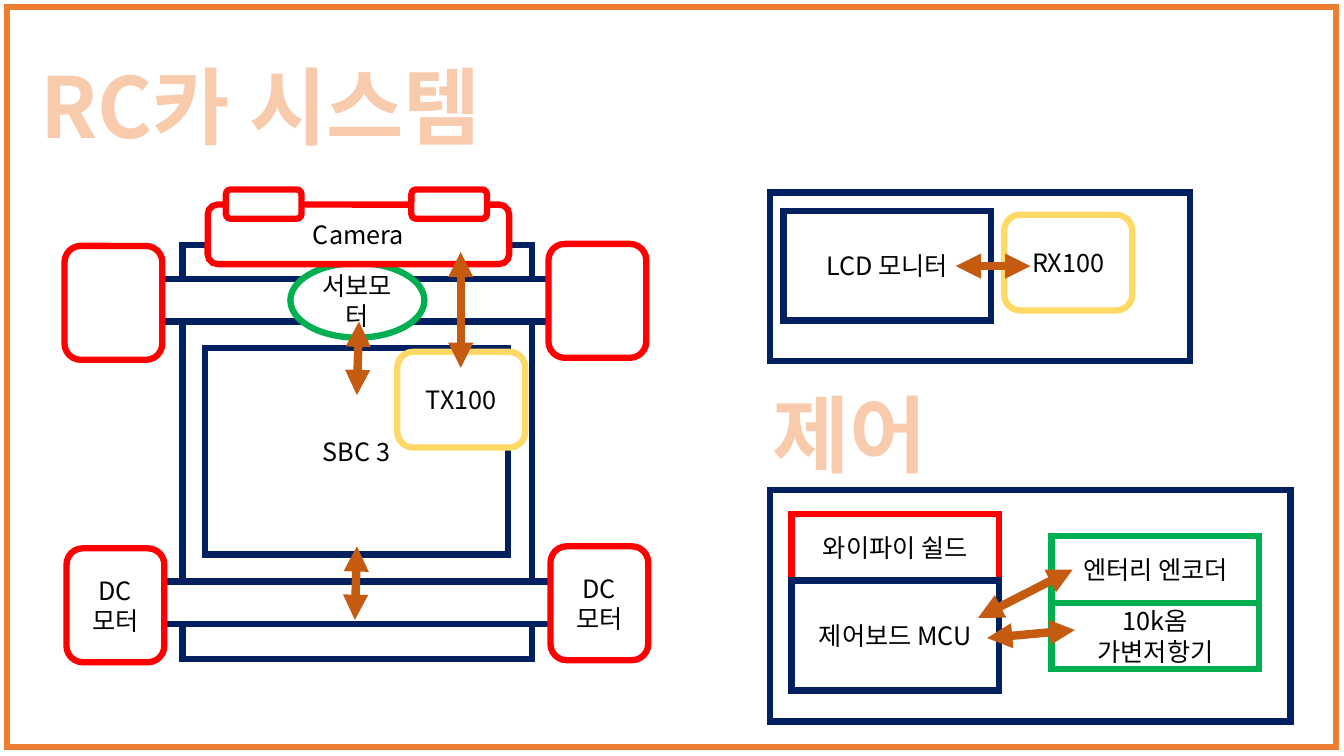
from dataclasses import dataclass

from lxml.etree import SubElement
from pptx import Presentation
from pptx.dml.color import RGBColor
from pptx.enum.shapes import MSO_CONNECTOR, MSO_SHAPE
from pptx.enum.text import MSO_ANCHOR, MSO_AUTO_SIZE, PP_ALIGN
from pptx.oxml import parse_xml
from pptx.oxml.ns import nsdecls, qn
from pptx.util import Inches, Pt

SLIDE_WIDTH, SLIDE_HEIGHT = Inches(13.33), Inches(7.5)
COLUMNS, ROWS = 1333, 750
FONT = "Noto Sans CJK KR"
WHITE, BLACK = "FFFFFF", "000000"
ORANGE, PEACH, RUST = "ED7D31", "F8CBAD", "C55A11"
NAVY, RED, GREEN, YELLOW = "002060", "FF0000", "00B050", "FFD966"
RECT, ROUND, OVAL = MSO_SHAPE.RECTANGLE, MSO_SHAPE.ROUNDED_RECTANGLE, MSO_SHAPE.OVAL


@dataclass(frozen=True)
class Block:
    """A device or part; lengths in grid columns and rows."""
    col: int
    row: int
    width: int
    height: int
    color: str
    text: str = ""
    kind: MSO_SHAPE = RECT
    fill: str | None = WHITE
    weight: float = 4.5


@dataclass(frozen=True)
class Link:
    """A two-way arrow between grid points."""
    col: int
    row: int
    end_col: int
    end_row: int


@dataclass(frozen=True)
class Heading:
    text: str
    col: int
    row: int
    width: int
    height: int = 111


def x(col):
    return round(SLIDE_WIDTH * col / COLUMNS)


def y(row):
    return round(SLIDE_HEIGHT * row / ROWS)


def rgb(color: str) -> RGBColor:
    return RGBColor.from_string(color)


def write(frame, text: str, *, size=18, color=BLACK, bold=False,
          align=PP_ALIGN.CENTER, anchor=MSO_ANCHOR.MIDDLE, wrap=True, outline=None) -> None:
    frame.auto_size = MSO_AUTO_SIZE.NONE
    frame.word_wrap = wrap
    frame.vertical_anchor = anchor
    paragraph = frame.paragraphs[0]
    paragraph.text = text
    paragraph.alignment = align
    for run in paragraph.runs:
        font = run.font
        font.name, font.size, font.bold = FONT, Pt(size), bold
        font.color.rgb = rgb(color)
        properties = run._r.get_or_add_rPr()
        SubElement(properties, qn("a:ea")).set("typeface", FONT)
        if outline:
            properties.insert(0, parse_xml(
                f'<a:ln {nsdecls("a")} w="{Pt(1.75)}"><a:solidFill>'
                f'<a:srgbClr val="{outline}"/></a:solidFill></a:ln>'))


def draw_block(shapes, block: Block) -> None:
    shape = shapes.add_shape(block.kind, x(block.col), y(block.row),
                             x(block.width), y(block.height))
    shape.shadow.inherit = False
    if block.fill:
        shape.fill.solid()
        shape.fill.fore_color.rgb = rgb(block.fill)
    else:
        shape.fill.background()
    shape.line.color.rgb = rgb(block.color)
    shape.line.width = Pt(block.weight)
    SubElement(shape.line._get_or_add_ln(), qn("a:miter")).set("lim", "800000")
    if block.text:
        write(shape.text_frame, block.text)


def draw_link(shapes, link: Link) -> None:
    arrow = shapes.add_connector(MSO_CONNECTOR.STRAIGHT, x(link.col), y(link.row),
                                 x(link.end_col), y(link.end_row))
    arrow.line.color.rgb = rgb(RUST)
    arrow.line.width = Pt(6)
    for end in ("a:headEnd", "a:tailEnd"):
        SubElement(arrow.line._get_or_add_ln(), qn(end)).set("type", "triangle")
    SubElement(arrow._element.spPr, qn("a:effectLst"))


def draw_parts(shapes, parts: list) -> None:
    for part in parts:
        if isinstance(part, Link):
            draw_link(shapes, part)
        else:
            draw_block(shapes, part)


def draw_heading(box, heading: Heading) -> None:
    box.left, box.top = x(heading.col), y(heading.row)
    box.width, box.height = x(heading.width), y(heading.height)
    write(box.text_frame, heading.text, size=60, color=PEACH, bold=True, wrap=False,
          align=PP_ALIGN.LEFT, anchor=MSO_ANCHOR.TOP, outline=ORANGE)


def axle(col: int, row: int, text: str = "") -> list[Block]:
    """An axle bar with a wheel at each end."""
    wheels = [Block(col + step, row + rise, 97, 113, RED, text, ROUND)
              for step, rise in ((-2, -33), (478, -35))]
    return [Block(col, row, 517, 42, NAVY), *wheels]


def radio(col: int, row: int, text: str) -> Block:
    return Block(col, row, 127, 95, YELLOW, text, ROUND)


def module(col: int, row: int, color: str, text: str, height: int = 66) -> Block:
    return Block(col, row, 206, height, color, text)


FRAME = Block(7, 7, 1318, 734, ORANGE, fill=None, weight=4.75)
CAR = [
    Block(181, 243, 347, 411, NAVY),
    *axle(66, 277),
    *axle(68, 577, "DC\n모터"),
    Block(288, 261, 133, 74, GREEN, "서보모터", OVAL),
    Block(206, 203, 299, 59, RED, "Camera", ROUND),
    *(Block(col, 188, 75, 29, RED, kind=ROUND) for col in (224, 408)),
    Block(203, 345, 301, 205, NAVY, "SBC 3"),
    Link(356, 319, 354, 392),
    Link(354, 542, 352, 615),
]
TRANSMITTER = [radio(394, 349, "TX100"), Link(457, 250, 457, 365)]
MONITOR = [
    Block(764, 191, 416, 167, NAVY),
    radio(996, 213, "RX100"),
    module(777, 209, NAVY, "LCD 모니터", 109),
]
MONITOR_LINK = Link(1022, 264, 948, 264)
CONTROL = [
    Block(764, 486, 516, 230, NAVY),
    module(785, 510, RED, "와이파이 쉴드"),
    module(785, 576, NAVY, "제어보드 MCU", 109),
    module(1043, 532, GREEN, "엔터리 엔코더"),
    module(1043, 598, GREEN, "10k옴\n가변저항기"),
    Link(1064, 565, 970, 613),
    Link(1066, 625, 979, 633),
]
CAR_HEADING = Heading("RC카 시스템", 30, 49, 553)
CONTROL_HEADING = Heading("제어", 756, 375, 193)


def main() -> None:
    deck = Presentation()
    deck.slide_width, deck.slide_height = SLIDE_WIDTH, SLIDE_HEIGHT
    slide = deck.slides.add_slide(deck.slide_layouts[5])
    shapes = slide.shapes
    draw_heading(shapes.title, CAR_HEADING)
    draw_block(shapes, FRAME)
    draw_parts(shapes.add_group_shape().shapes, CAR)
    draw_parts(shapes, TRANSMITTER)
    draw_parts(shapes.add_group_shape().shapes, MONITOR)
    draw_link(shapes, MONITOR_LINK)
    draw_parts(shapes.add_group_shape().shapes, CONTROL)
    draw_heading(shapes.add_textbox(0, 0, 0, 0), CONTROL_HEADING)
    deck.save("out.pptx")


if __name__ == "__main__":
    main()
